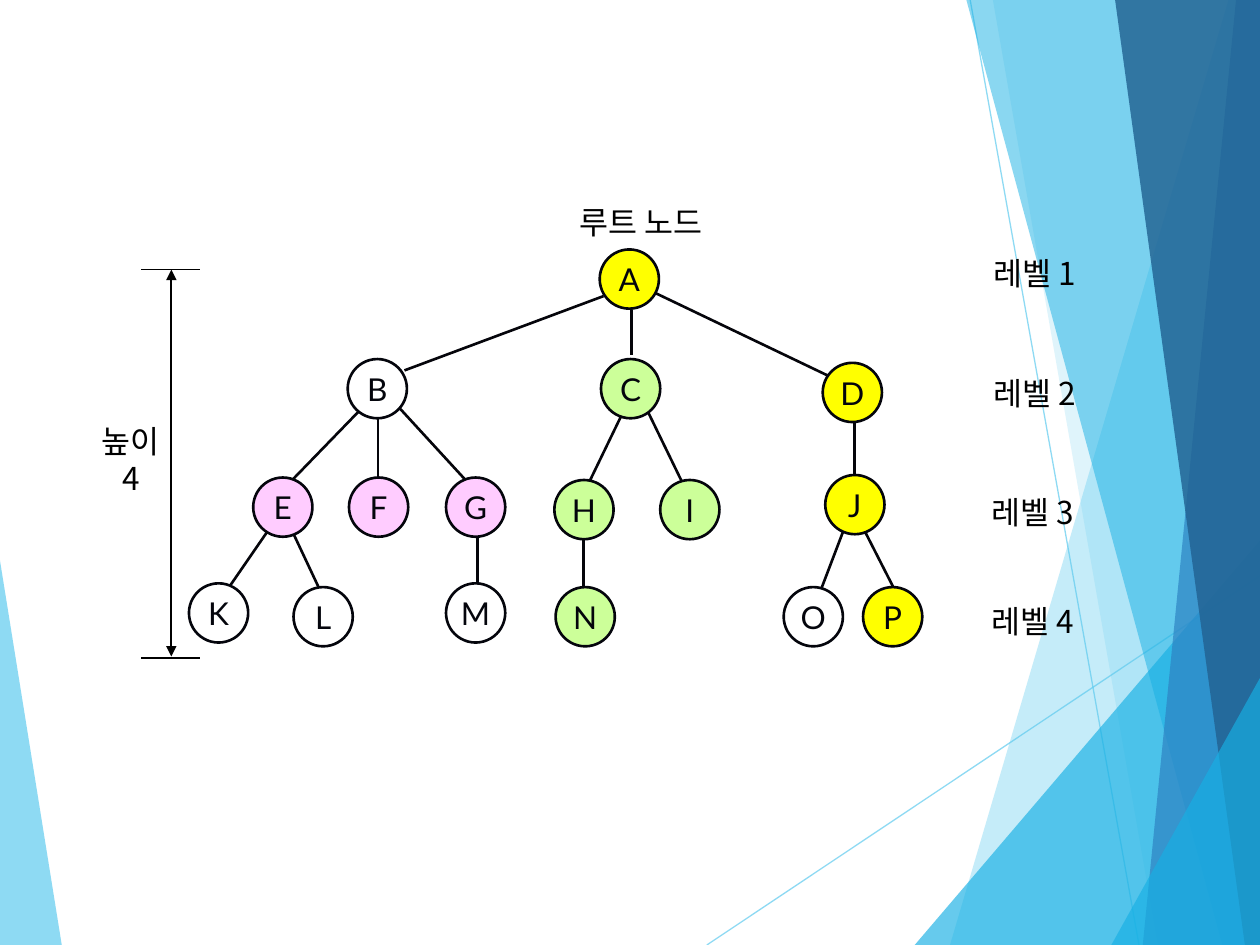
from lxml.etree import SubElement
from pptx import Presentation
from pptx.dml.color import RGBColor
from pptx.enum.shapes import MSO_CONNECTOR, MSO_SHAPE
from pptx.enum.text import MSO_ANCHOR, PP_ALIGN
from pptx.oxml.ns import qn
from pptx.util import Inches, Pt

BLACK = RGBColor(0x00, 0x00, 0x00)
INK = RGBColor(0x04, 0x05, 0x0C)
EDGE = RGBColor(0x05, 0x05, 0x0B)
WHITE = RGBColor(0xFF, 0xFF, 0xFF)
YELLOW = RGBColor(0xFF, 0xFF, 0x00)
PINK = RGBColor(0xFF, 0xCC, 0xFF)
GREEN = RGBColor(0xCC, 0xFF, 0x99)
SKY = RGBColor(0x5F, 0xCB, 0xEF)
CYAN = RGBColor(0x17, 0xB0, 0xE4)
BLUE = RGBColor(0x2E, 0x83, 0xC3)
NAVY = RGBColor(0x22, 0x62, 0x92)

LATIN, HANGUL = "Lato", "Noto Sans CJK KR"
SIZE = 0.47

FACETS = [
    (SKY, 70, [(0, 4.45), (0.49, 7.5), (0, 7.5)]),
    (SKY, 36, [(9.75, 0), (7.54, 7.5), (10, 7.5), (10, 0)]),
    (SKY, 20, [(7.88, 0), (9.19, 7.5), (10, 7.5), (10, 0)]),
    (CYAN, 66, [(7.26, 7.5), (10, 4.29), (10, 7.5)]),
    (CYAN, 50, [(7.67, 0), (9.7, 7.5), (10, 7.5), (10, 0)]),
    (BLUE, 70, [(9.81, 0), (9.07, 7.5), (10, 7.5), (10, 0)]),
    (NAVY, 82, [(8.85, 0), (9.88, 7.5), (10, 7.5), (10, 0)]),
    (CYAN, 66, [(8.82, 7.5), (10, 5.38), (10, 7.5)]),
]
RAYS = [(5.61, 7.5, 10, 4.57), (7.7, 0, 9.04, 7.5)]
EDGES = [
    (4.79, 2.35, 3.21, 2.94), (5.01, 2.46, 5.01, 2.82), (4.98, 2.22, 6.84, 3.11),
    (2.94, 3.17, 2.28, 3.85), (3, 3.32, 3, 3.87), (3.08, 3.14, 3.75, 3.87),
    (4.96, 3.24, 4.66, 3.86), (5.09, 3.16, 5.43, 3.86), (6.78, 3.35, 6.78, 3.79),
    (2.28, 3.99, 1.77, 4.73), (2.27, 4.11, 2.58, 4.77), (3.79, 4.17, 3.79, 4.7),
    (4.63, 4.19, 4.63, 4.72), (6.71, 4.17, 6.47, 4.8), (6.84, 4.17, 7.1, 4.68),
]
NODES = [
    ("A", 4.76, 1.98, YELLOW),
    ("B", 2.76, 2.85, WHITE), ("C", 4.77, 2.85, GREEN), ("D", 6.53, 2.88, YELLOW),
    ("E", 2.01, 3.79, PINK), ("F", 2.77, 3.79, PINK), ("G", 3.54, 3.79, PINK),
    ("H", 4.4, 3.81, GREEN), ("I", 5.24, 3.81, GREEN), ("J", 6.55, 3.77, YELLOW),
    ("K", 1.5, 4.63, WHITE), ("L", 2.33, 4.66, WHITE), ("M", 3.54, 4.63, WHITE),
    ("N", 4.41, 4.66, GREEN), ("O", 6.22, 4.66, WHITE), ("P", 6.85, 4.66, YELLOW),
]
LEVELS = [(7.58, 1.97), (7.58, 2.92), (7.57, 3.86), (7.57, 4.73)]


def fade(fill, part):
    for tint in fill.iter(qn("a:srgbClr")):
        SubElement(tint, qn("a:alpha")).set("val", str(part * 1000))


class Deck:
    """Hold the slide and its style, and draw each kind of element."""

    def __init__(self):
        self.file = Presentation()
        self.file.slide_width = Inches(10)
        self.file.slide_height = Inches(7.5)
        self.slide = self.file.slides.add_slide(self.file.slide_layouts[6])
        self.shapes = self.slide.shapes
        self.frame = {"word_wrap": True, "vertical_anchor": MSO_ANCHOR.MIDDLE}

    def facet(self, color, part, points):
        first, *rest = [(Inches(x), Inches(y)) for x, y in points]
        build = self.shapes.build_freeform(*first, scale=1.0)
        build.add_line_segments(rest, close=True)
        shape = build.convert_to_shape()
        shape.shadow.inherit = False
        shape.fill.solid()
        shape.fill.fore_color.rgb = color
        shape.line.fill.background()
        fade(shape._element.spPr, part)

    def line(self, ends, color, width, part=None, arrows=False):
        wire = self.shapes.add_connector(MSO_CONNECTOR.STRAIGHT, *map(Inches, ends))
        wire.line.color.rgb = color
        wire.line.width = Pt(width)
        props = wire._element.spPr
        if part:
            fade(props, part)
        if arrows:
            for end in ("a:headEnd", "a:tailEnd"):
                SubElement(props.find(qn("a:ln")), qn(end)).set("type", "triangle")
        SubElement(props, qn("a:effectLst"))

    def letter(self, shape, text, face, color):
        frame = shape.text_frame
        for key, value in self.frame.items():
            setattr(frame, key, value)
        frame.text = text
        style = {"name": face, "size": Pt(18)}
        for para in frame.paragraphs:
            para.alignment = PP_ALIGN.CENTER
            for run in para.runs:
                for key, value in style.items():
                    setattr(run.font, key, value)
                run.font.color.rgb = color
                SubElement(run._r.rPr, qn("a:ea")).set("typeface", face)

    def node(self, name, x, y, color):
        shape = self.shapes.add_shape(MSO_SHAPE.OVAL, *map(Inches, (x, y, SIZE, SIZE)))
        shape.shadow.inherit = False
        shape.fill.solid()
        shape.fill.fore_color.rgb = color
        shape.line.color.rgb = INK
        shape.line.width = Pt(1.5)
        for side in ("left", "right", "top", "bottom"):
            setattr(shape.text_frame, "margin_" + side, 0)
        self.letter(shape, name, LATIN, INK)

    def label(self, text, x, y, wide=1.26, high=0.4):
        box = self.shapes.add_textbox(*map(Inches, (x, y, wide, high)))
        self.letter(box, text, HANGUL, BLACK)


def main():
    deck = Deck()
    deck.facet(*FACETS[0])
    for ray in RAYS:
        deck.line(ray, SKY, 0.75, part=70)
    for facet in FACETS[1:]:
        deck.facet(*facet)
    for edge in EDGES:
        deck.line(edge, EDGE, 1.5)
    for node in NODES:
        deck.node(*node)
    for rank, place in enumerate(LEVELS, 1):
        deck.label(f"레벨 {rank}", *place)
    deck.label("루트 노드", 4.35, 1.56, wide=1.48)
    deck.label("높이\n4", 0.41, 3.29, high=0.71)
    deck.line((1.36, 5.21, 1.36, 2.14), BLACK, 1, arrows=True)
    for y in (2.14, 5.22):
        deck.line((1.12, y, 1.59, y), BLACK, 1)
    deck.file.save("out.pptx")


if __name__ == "__main__":
    main()
